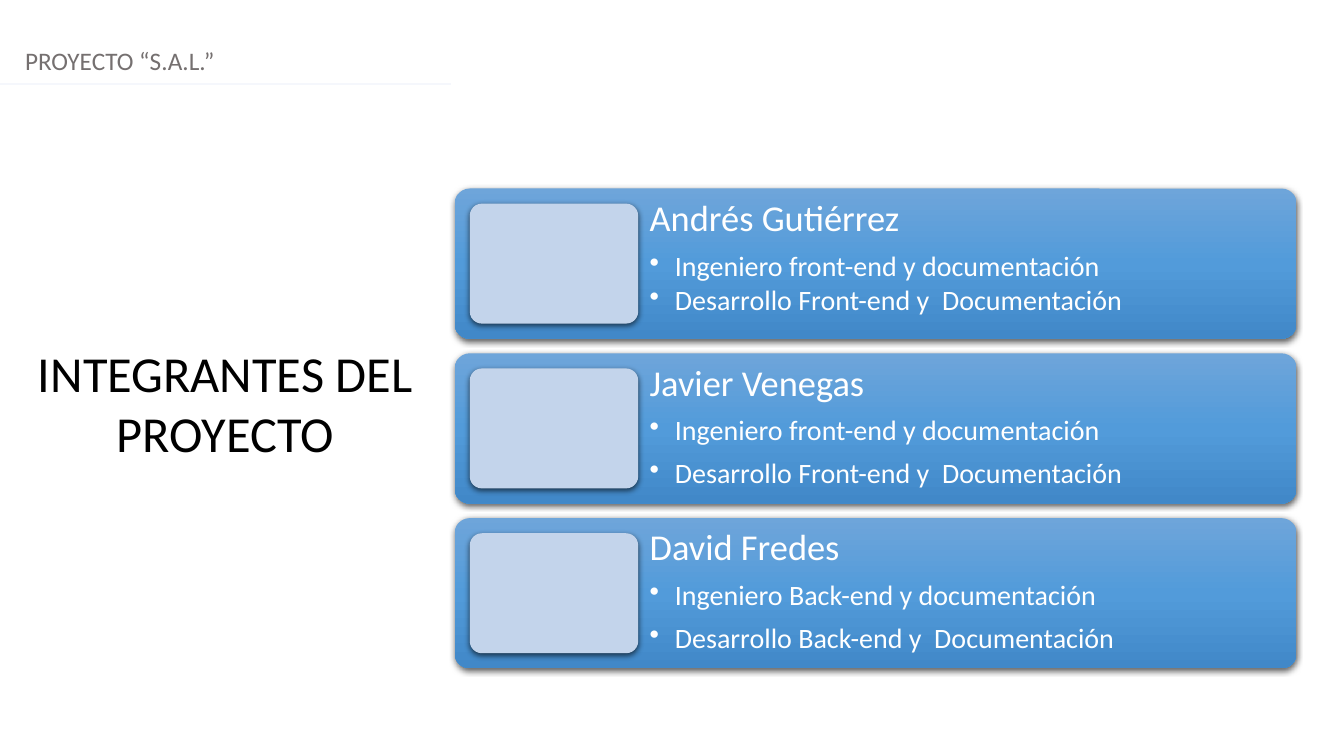
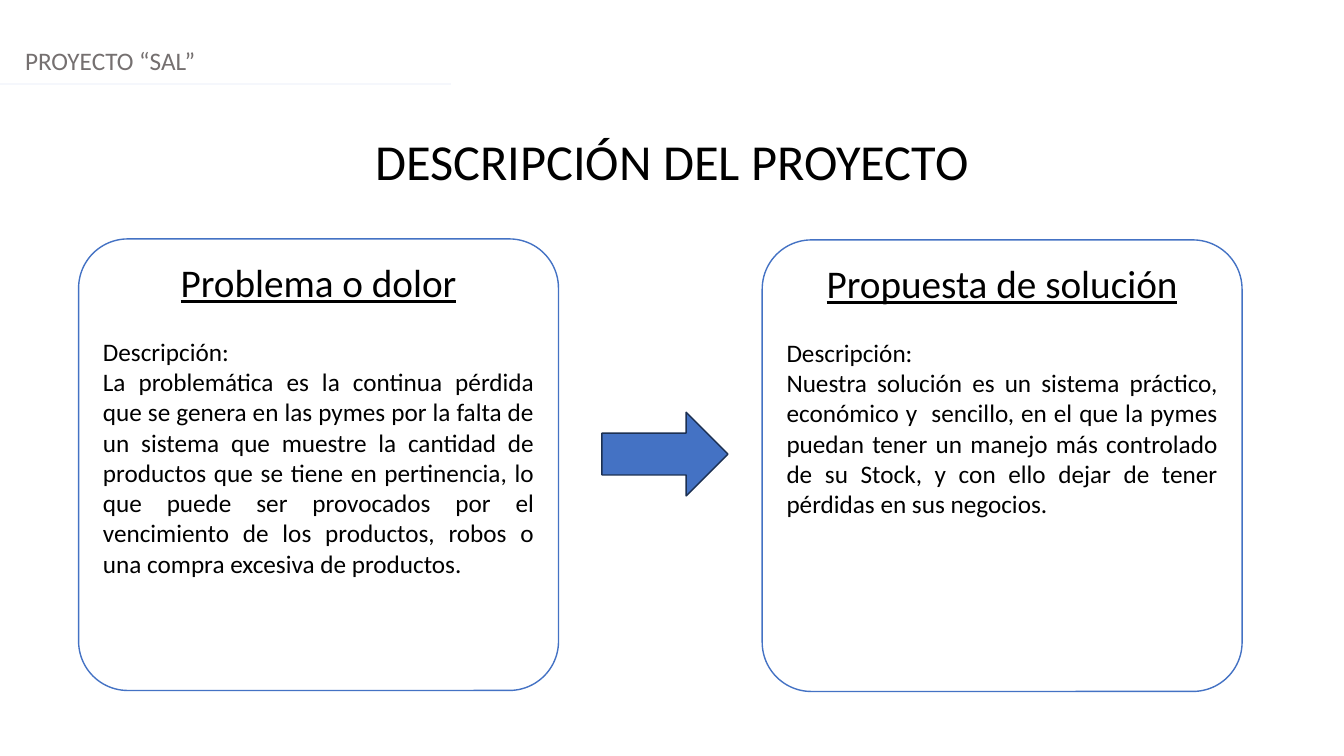
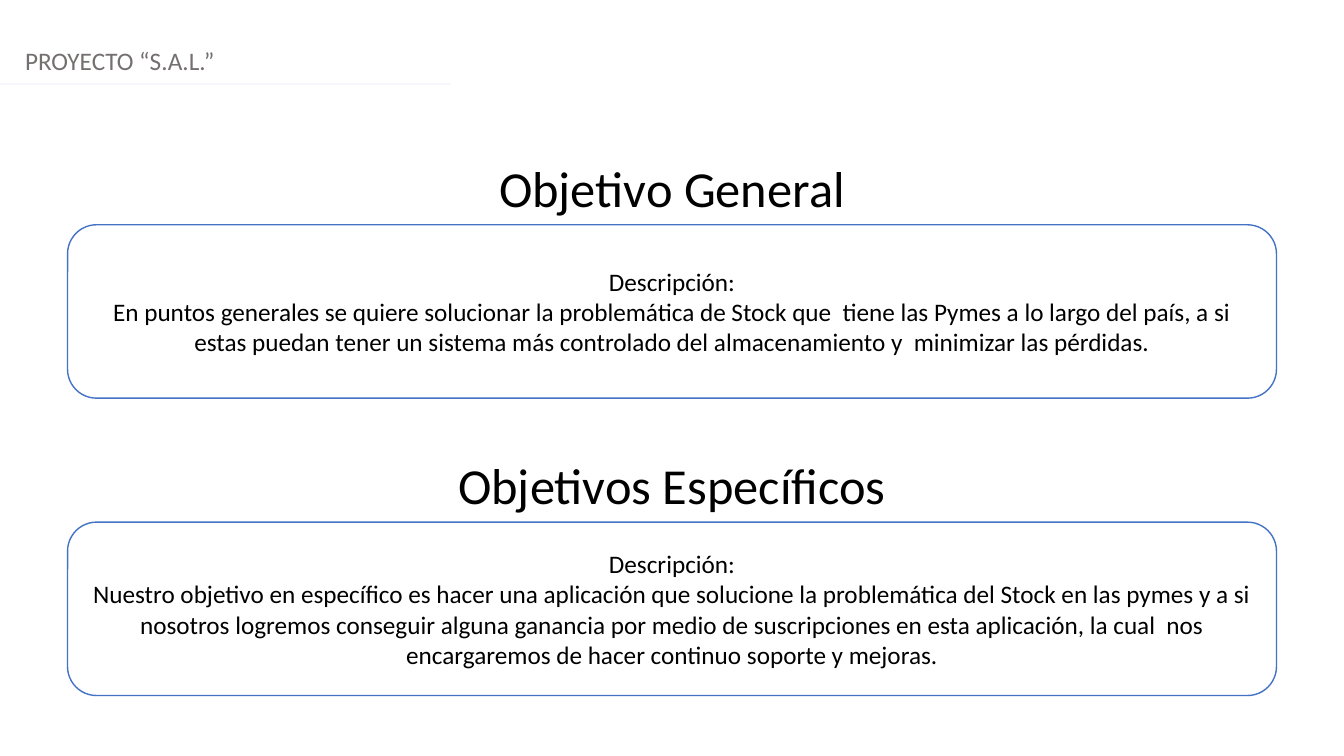
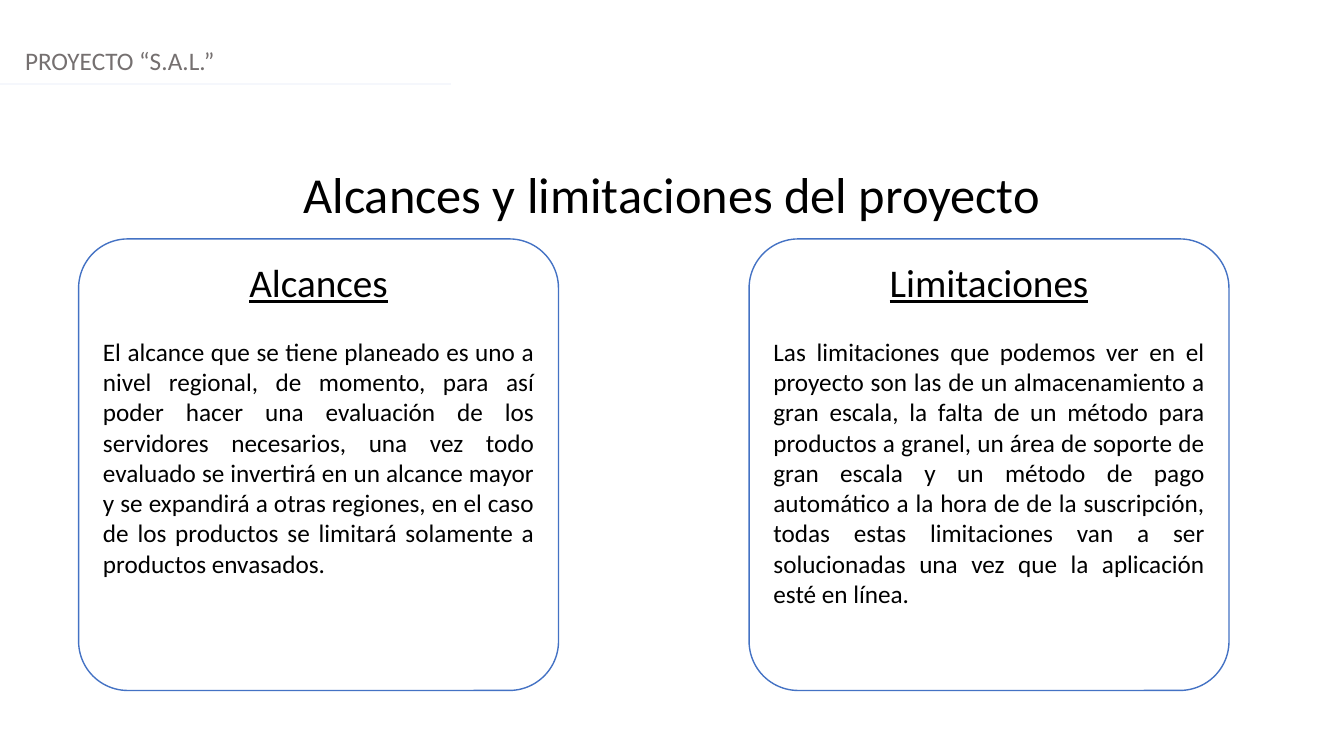
from copy import deepcopy

from lxml.etree import SubElement
from pptx import Presentation
from pptx.dml.color import RGBColor
from pptx.enum.shapes import MSO_CONNECTOR, MSO_SHAPE
from pptx.enum.text import MSO_ANCHOR, MSO_AUTO_SIZE, PP_ALIGN
from pptx.oxml.ns import qn
from pptx.util import Inches, Pt

FONT = "Calibri"
COLORS = {
    "text": "000000", "label": "757070", "rule": "F5F7FC", "white": "FFFFFF",
    "blue": "4472C4", "edge": "1C3052", "photo": "C3D4EB",
    "top": "6EA5DA", "mid": "529BDA", "low": "4188C8",
}
WIDTH, HEIGHT = 13.33, 7.5
CENTER, LEFT, FULL = PP_ALIGN.CENTER, PP_ALIGN.LEFT, PP_ALIGN.JUSTIFY


def color(name):
    return RGBColor.from_string(COLORS[name])


def place(box):
    return [Inches(n) for n in box]


def paint(shape, fill, line=None):
    shape.shadow.inherit = False
    shape.fill.solid()
    shape.fill.fore_color.rgb = color(fill)
    if line:
        shape.line.color.rgb = color(line)
        shape.line.width = Pt(1)
    else:
        shape.line.fill.background()


def write(frame, text, size, tint="text", align=LEFT):
    """Add a paragraph, using the empty first one if there is one."""
    para = frame.paragraphs[0]
    if para.runs:
        para = frame.add_paragraph()
    para.text = text
    para.alignment = align
    para.font.name = FONT
    para.font.size = Pt(size)
    para.font.color.rgb = color(tint)
    return para


def setup(frame, anchor=MSO_ANCHOR.TOP):
    frame.word_wrap = True
    frame.auto_size = MSO_AUTO_SIZE.NONE
    frame.vertical_anchor = anchor
    return frame


def add_text(slide, box, text, size, tint="text", align=LEFT):
    frame = setup(slide.shapes.add_textbox(*place(box)).text_frame)
    write(frame, text, size, tint, align)


def add_page(deck, title, box, label="PROYECTO “S.A.L.”"):
    """Start a slide with its title, project label and rule."""
    slide = deck.slides.add_slide(deck.slide_layouts[5])
    head = slide.shapes.title
    head.left, head.top, head.width, head.height = place(box)
    write(setup(head.text_frame), title, 36, align=CENTER)
    add_text(slide, (0.15, 0.4, WIDTH, 0.4), label, 18, "label")
    rule = slide.shapes.add_connector(
        MSO_CONNECTOR.STRAIGHT, *place((0, 0.83, 4.47, 0.83)))
    rule.line.color.rgb = color("rule")
    rule.line.width = Pt(1.25)
    SubElement(rule._element.spPr, qn("a:effectLst"))
    return slide


def round_box(slide, box, adjust, fill="white", line=None):
    shape = slide.shapes.add_shape(MSO_SHAPE.ROUNDED_RECTANGLE, *place(box))
    shape.adjustments[0] = adjust
    paint(shape, fill, line)
    return shape


def cast(shape):
    """Give a shape a soft shadow below it."""
    effects = shape._element.spPr.find(qn("a:effectLst"))
    shadow = SubElement(effects, qn("a:outerShdw"), blurRad=str(Pt(4.5)),
                        dist=str(Pt(1.5)), dir="5400000", algn="ctr",
                        rotWithShape="0")
    tint = SubElement(shadow, qn("a:srgbClr"), val=COLORS["text"])
    SubElement(tint, qn("a:alpha"), val="63000")


def shade(shape):
    """Fill a shape with the three blues, from top to bottom."""
    fill = shape.fill
    fill.gradient()
    fill.gradient_angle = 270
    stops = shape._element.spPr.find(".//" + qn("a:gsLst"))
    stops.append(deepcopy(stops[0]))
    for stop, name, spot in zip(fill.gradient_stops, ("top", "mid", "low"),
                                (0, 0.5, 1)):
        stop.color.rgb = color(name)
        stop.position = spot


def bullet(para):
    para.level = 1
    props = para._p.get_or_add_pPr()
    props.set("marL", str(Inches(0.25)))
    props.set("indent", str(-Inches(0.25)))
    tint = SubElement(props, qn("a:buClr"))
    SubElement(tint, qn("a:srgbClr"), val=COLORS["white"])
    SubElement(props, qn("a:buChar"), char="•")


def add_card(slide, box, name, roles, gap):
    """Draw a member card; gap is the space above the last role."""
    left, top, width, height = box
    card = round_box(slide, box, 0.1)
    shade(card)
    cast(card)
    frame = setup(card.text_frame)
    frame.margin_left = Inches(1.89)
    frame.margin_top = frame.margin_right = Inches(0.07)
    write(frame, name, 26, "white").line_spacing = 0.9
    for role, space in zip(roles, (9.1, gap)):
        para = write(frame, role, 20, "white")
        para.line_spacing = 0.9
        para.space_before = Pt(space)
        bullet(para)
    pad = 0.15
    photo = (left + pad, top + pad, width / 5, height - 2 * pad)
    cast(round_box(slide, photo, 0.1, "photo"))


def add_panel(slide, left, top, head, lines):
    """Draw a tall box with an underlined heading and justified text."""
    panel = round_box(slide, (left, top, 4.76, 4.48), 0.109, line="blue")
    frame = setup(panel.text_frame)
    write(frame, head, 28, align=CENTER).font.underline = True
    for index, line in enumerate(lines):
        para = write(frame, line, 18, align=FULL)
        if index == 0:
            para.space_before = Pt(22)


def add_goal(slide, top, text):
    panel = round_box(slide, (0.67, top, 11.99, 1.72), 0.167, line="blue")
    frame = setup(panel.text_frame, MSO_ANCHOR.MIDDLE)
    for line in ("Descripción:", text):
        write(frame, line, 18, align=CENTER)


def add_team(deck):
    slide = add_page(deck, "INTEGRANTES DEL PROYECTO", (0.26, 3.34, 3.95, 1.31))
    front = ("Ingeniero front-end y documentación",
             "Desarrollo Front-end y  Documentación")
    back = ("Ingeniero Back-end y documentación",
            "Desarrollo Back-end y  Documentación")
    team = (("Andrés Gutiérrez", front, 3), ("Javier Venegas", front, 9.1),
            ("David Fredes", back, 9.1))
    for row, member in enumerate(team):
        add_card(slide, (4.51, 1.87 + row * 1.635, 8.35, 1.49), *member)


def add_about(deck):
    slide = add_page(deck, "DESCRIPCIÓN DEL PROYECTO",
                     (0, 1.24, WIDTH, 0.71), "PROYECTO “SAL”")
    add_panel(slide, 0.78, 2.37, "Problema o dolor", (
        "Descripción:",
        "La problemática es la continua pérdida que se genera en las pymes por "
        "la falta de un sistema que muestre la cantidad de productos que se "
        "tiene en pertinencia, lo que puede ser provocados por el vencimiento "
        "de los productos, robos o una compra excesiva de productos."))
    add_panel(slide, 7.56, 2.38, "Propuesta de solución", (
        "Descripción:",
        "Nuestra solución es un sistema práctico, económico y  sencillo, en el "
        "que la pymes puedan tener un manejo más controlado de su Stock, y con "
        "ello dejar de tener pérdidas en sus negocios."))
    arrow = slide.shapes.add_shape(MSO_SHAPE.RIGHT_ARROW,
                                   *place((5.97, 4.09, 1.25, 0.83)))
    paint(arrow, "blue", "edge")


def add_goals(deck):
    slide = add_page(deck, "Objetivo General", (0, 1.51, WIDTH, 0.71))
    add_goal(slide, 2.23,
             "En puntos generales se quiere solucionar la problemática de Stock "
             "que  tiene las Pymes a lo largo del país, a si estas puedan tener "
             "un sistema más controlado del almacenamiento y  minimizar las "
             "pérdidas.")
    add_text(slide, (0, 4.46, WIDTH, 0.71), "Objetivos Específicos", 36,
             align=CENTER)
    add_goal(slide, 5.18,
             "Nuestro objetivo en específico es hacer una aplicación que "
             "solucione la problemática del Stock en las pymes y a si nosotros "
             "logremos conseguir alguna ganancia por medio de suscripciones en "
             "esta aplicación, la cual  nos encargaremos de hacer continuo "
             "soporte y mejoras.")


def add_scope(deck):
    slide = add_page(deck, "Alcances y limitaciones del proyecto",
                     (0, 1.57, WIDTH, 0.71))
    add_panel(slide, 0.78, 2.37, "Alcances", (
        "El alcance que se tiene planeado es uno a nivel regional, de momento, "
        "para así poder hacer una evaluación de los servidores necesarios, una "
        "vez todo evaluado se invertirá en un alcance mayor y se expandirá a "
        "otras regiones, en el caso de los productos se limitará solamente a "
        "productos envasados.",))
    add_panel(slide, 7.43, 2.37, "Limitaciones", (
        "Las limitaciones que podemos ver en el proyecto son las de un "
        "almacenamiento a gran escala, la falta de un método para productos a "
        "granel, un área de soporte de gran escala y un método de pago "
        "automático a la hora de de la suscripción, todas estas limitaciones "
        "van a ser solucionadas una vez que la aplicación esté en línea.",))


def main():
    deck = Presentation()
    deck.slide_width, deck.slide_height = Inches(WIDTH), Inches(HEIGHT)
    for build in (add_team, add_about, add_goals, add_scope):
        build(deck)
    deck.save("out.pptx")


if __name__ == "__main__":
    main()
